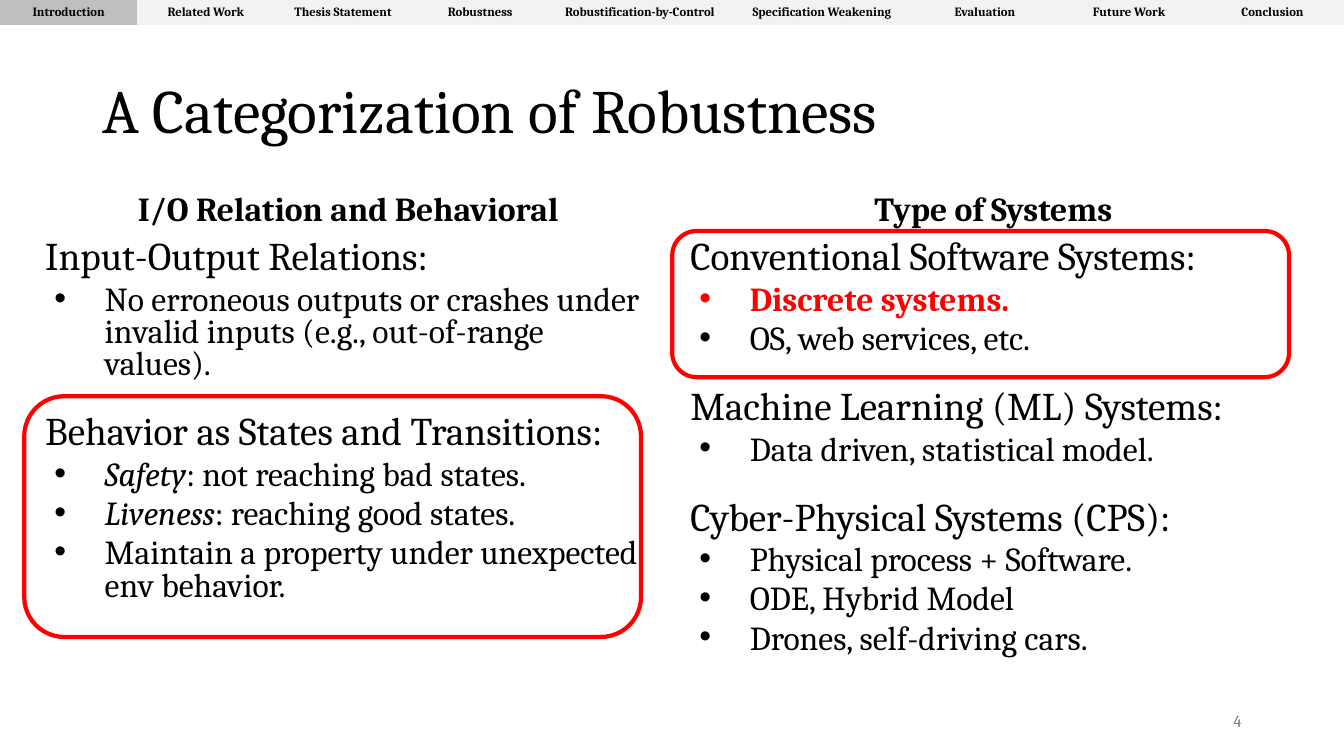
from typing import NamedTuple

from lxml import etree
from pptx import Presentation, util as u
from pptx.dml.color import RGBColor
from pptx.enum import shapes, text
from pptx.oxml.ns import qn

HUE = {"ink": "000000", "red": "FF0000", "gray": "797979",
       "tab": "F2F2F2", "live": "BFBFBF"}
FONT = "Cambria"
PLAIN = "{2D5ABB26-0587-4C30-8999-92F81FD0307C}"


class Box(NamedTuple):
    x: float
    y: float
    w: float
    h: float

    def pts(self) -> list:
        return [u.Pt(v) for v in self]


class Tab(NamedTuple):
    name: str
    wide: float


class Item(NamedTuple):
    name: str
    lead: str = ""
    hot: bool = False


class Group(NamedTuple):
    head: str
    items: list


class Column(NamedTuple):
    x: float
    title: str
    groups: list


TABS = [
    Tab("Introduction", 98), Tab("Related Work", 98),
    Tab("Thesis Statement", 98), Tab("Robustness", 98),
    Tab("Robustification-by-Control", 130),
    Tab("Specification Weakening", 130),
    Tab("Evaluation", 103), Tab("Future Work", 103), Tab("Conclusion", 102),
]

COLUMNS = [
    Column(25.2, "I/O Relation and Behavioral", [
        Group("Input-Output Relations:", [
            Item("No erroneous outputs or crashes under invalid inputs "
                 "(e.g., out-of-range values).")]),
        Group("Behavior as States and Transitions:", [
            Item(": not reaching bad states.", lead="Safety"),
            Item(": reaching good states.", lead="Liveness"),
            Item("Maintain a property under unexpected env behavior.")]),
    ]),
    Column(486, "Type of Systems", [
        Group("Conventional Software Systems:", [
            Item("Discrete systems.", hot=True),
            Item("OS, web services, etc.")]),
        Group("Machine Learning (ML) Systems:", [
            Item("Data driven, statistical model.")]),
        Group("Cyber-Physical Systems (CPS):", [
            Item("Physical process + Software."),
            Item("ODE, Hybrid Model"),
            Item("Drones, self-driving cars.")]),
    ]),
]

FRAMES = [Box(17.3, 283, 440.6, 172), Box(480.2, 165, 440.6, 104.4)]


def write(frame, words: str, *, size: float, color: str = "ink",
          bold: bool = False, lead: str = "", align: str = "LEFT",
          line: float = 1.0, gap: float = 0, bullet: bool = False) -> None:
    para = frame.paragraphs[0]
    if para.runs:
        para = frame.add_paragraph()
        para.space_before = u.Pt(gap)
    para.alignment = text.PP_ALIGN[align]
    para.line_spacing = line
    if bullet:
        props = para._p.get_or_add_pPr()
        props.set("marL", str(u.Pt(42.5)))
        props.set("indent", str(u.Pt(-36)))
        etree.SubElement(props, qn("a:buFont")).set("typeface", "Arial")
        etree.SubElement(props, qn("a:buChar")).set("char", "•")
    for part, slant in ((lead, True), (words, False)):
        if part:
            run = para.add_run()
            run.text = part
            font = run.font
            font.name, font.size = FONT, u.Pt(size)
            font.bold, font.italic = bold, slant
            font.color.rgb = RGBColor.from_string(HUE[color])


def add_box(slide, box: Box, anchor: str = "MIDDLE"):
    frame = slide.shapes.add_textbox(*box.pts()).text_frame
    frame.word_wrap = True
    frame.vertical_anchor = text.MSO_ANCHOR[anchor]
    return frame


def add_column(slide, col: Column) -> None:
    top = add_box(slide, Box(col.x, 132.5, 447, 36))
    write(top, col.title, size=24, bold=True, align="CENTER", line=0.9)
    body = add_box(slide, Box(col.x, 168.5, 447, 340), "TOP")
    for group in col.groups:
        write(body, group.head, size=28, line=0.8, gap=24)
        for item in group.items:
            write(body, item.name, lead=item.lead, size=24, line=0.8, gap=5,
                  bold=item.hot, color="red" if item.hot else "ink",
                  bullet=True)


def add_frame(slide, box: Box) -> None:
    shape = slide.shapes.add_shape(
        shapes.MSO_SHAPE.ROUNDED_RECTANGLE, *box.pts())
    shape.shadow.inherit = False
    shape.fill.background()
    shape.line.color.rgb = RGBColor.from_string(HUE["red"])
    shape.line.width = u.Pt(3)


def add_tabs(slide, tabs: list, live: str) -> None:
    holder = slide.shapes.add_table(
        1, len(tabs), *Box(0, 0, 960, 18).pts())
    for style in holder.element.iter(qn("a:tableStyleId")):
        style.text = PLAIN
    table = holder.table
    table.first_row = table.horz_banding = False
    for i, tab in enumerate(tabs):
        table.columns[i].width = u.Pt(tab.wide)
        cell = table.cell(0, i)
        cell.fill.solid()
        shade = HUE["live" if tab.name == live else "tab"]
        cell.fill.fore_color.rgb = RGBColor.from_string(shade)
        write(cell.text_frame, tab.name, size=9, bold=True, align="CENTER")


def main() -> None:
    deck = Presentation()
    deck.slide_width, deck.slide_height = u.Pt(960), u.Pt(540)
    slide = deck.slides.add_slide(deck.slide_layouts[6])
    write(add_box(slide, Box(66, 28.8, 828, 104.4)),
          "A Categorization of Robustness", size=44, line=0.9)
    for col in COLUMNS:
        add_column(slide, col)
    write(add_box(slide, Box(678, 500.5, 216, 28.8)), "4",
          size=12, color="gray", align="RIGHT")
    for box in FRAMES:
        add_frame(slide, box)
    add_tabs(slide, TABS, "Introduction")
    deck.save("out.pptx")


if __name__ == "__main__":
    main()
